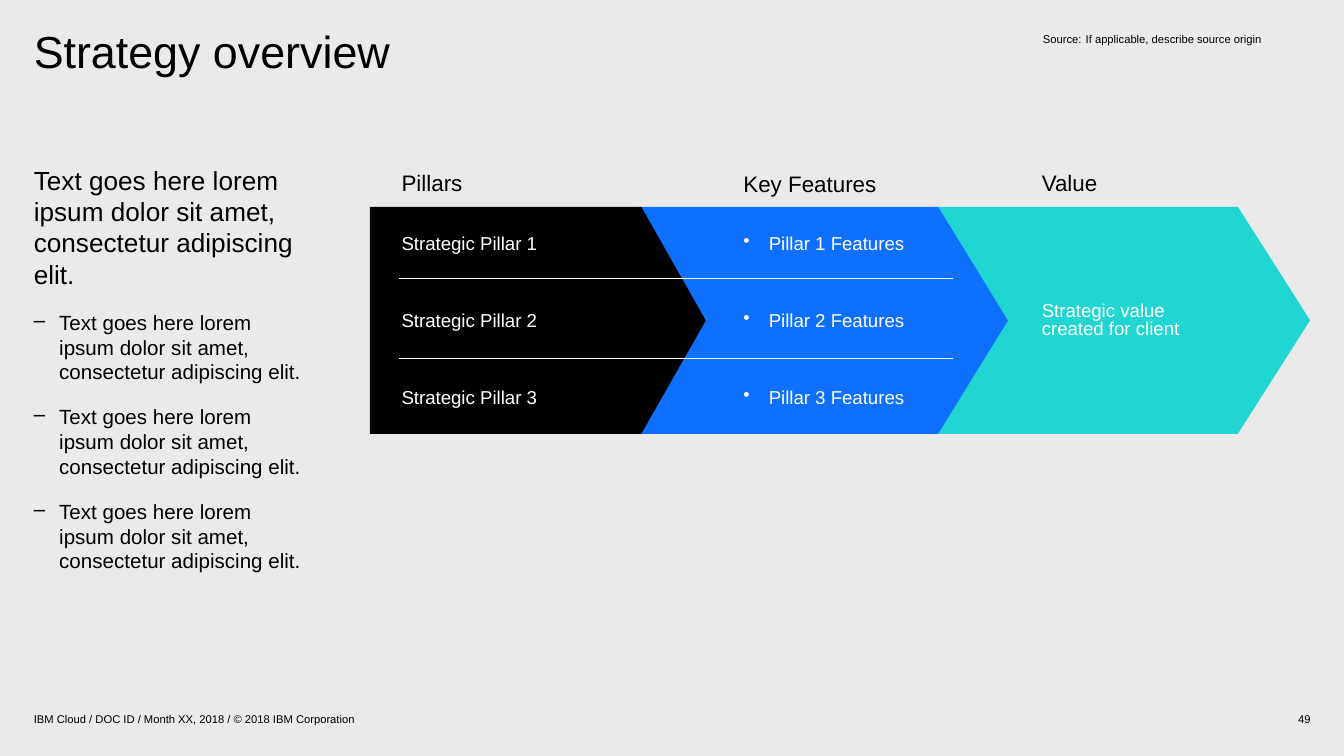
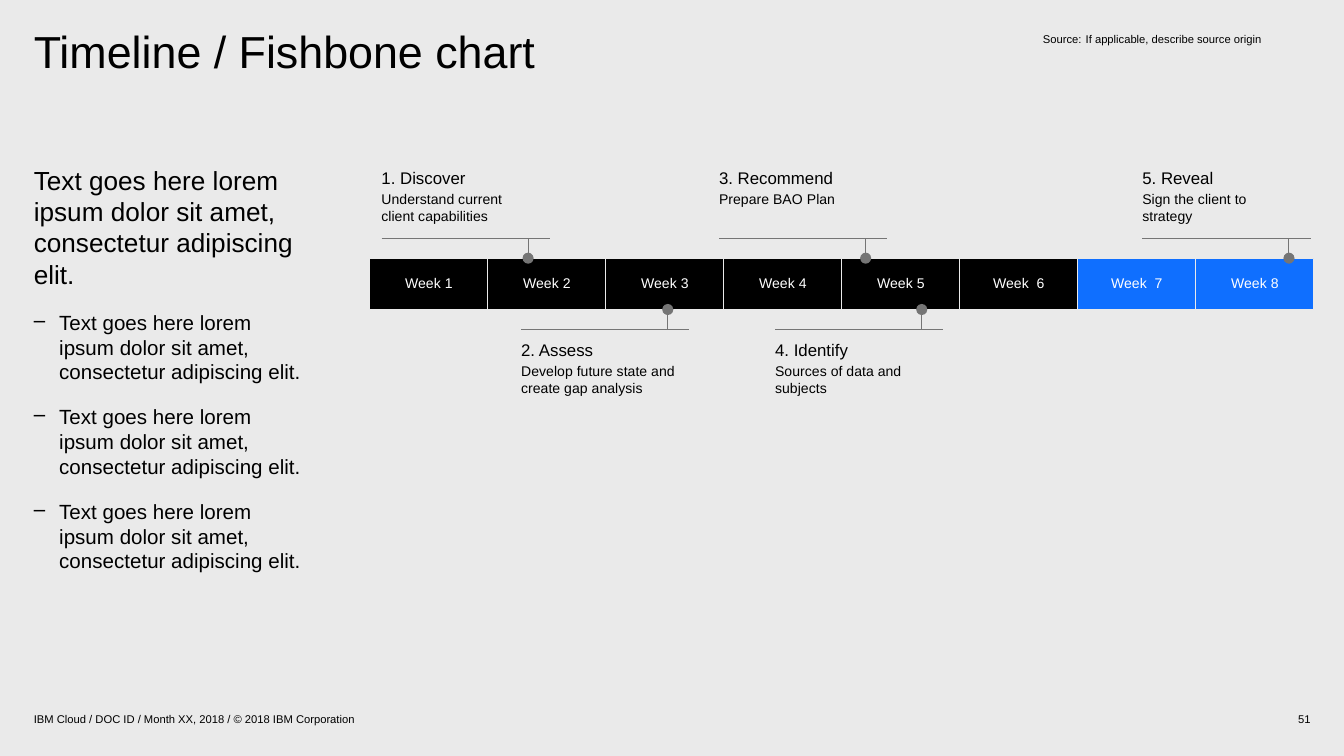
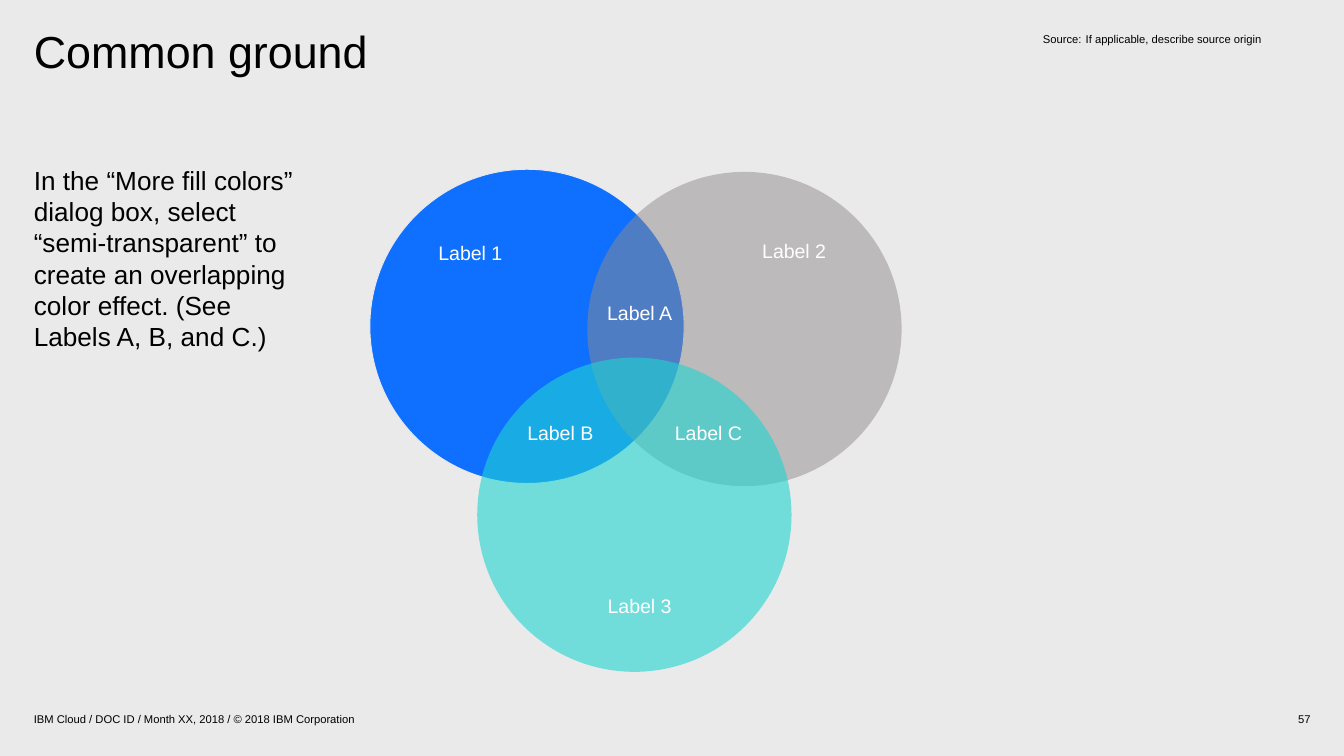
from pptx import Presentation
from pptx.dml.color import RGBColor
from pptx.enum.shapes import MSO_CONNECTOR, MSO_SHAPE
from pptx.enum.text import MSO_ANCHOR, PP_ALIGN
from pptx.oxml.ns import qn
from pptx.util import Cm, Pt
from lxml import etree

BLACK = RGBColor(0x00, 0x00, 0x00)
WHITE = RGBColor(0xFF, 0xFF, 0xFF)
PAPER = RGBColor(0xEA, 0xEA, 0xEA)
BLUE = RGBColor(0x0F, 0x6F, 0xFF)
TEAL = RGBColor(0x20, 0xD5, 0xD2)
GRAY = RGBColor(0x75, 0x75, 0x75)
WARM_GRAY = RGBColor(0x8F, 0x8B, 0x8B)

FONT = "Arial"
TOP, MIDDLE = MSO_ANCHOR.TOP, MSO_ANCHOR.MIDDLE
CENTER, RIGHT = PP_ALIGN.CENTER, PP_ALIGN.RIGHT
RECTANGLE, ELLIPSE, PENTAGON = MSO_SHAPE.RECTANGLE, MSO_SHAPE.OVAL, MSO_SHAPE.PENTAGON
STRAIGHT = MSO_CONNECTOR.STRAIGHT

FOOTER = "IBM Cloud / DOC ID / Month XX, 2018 / © 2018 IBM Corporation"
SOURCE = "Source:\tIf applicable, describe source origin"
LOREM = "Text goes here lorem ipsum dolor sit amet, consectetur adipiscing elit."


class SlideBuilder:
    """Holds the deck, its style and the current page; lengths are in cm."""

    def __init__(self):
        self.deck = Presentation()
        self.deck.slide_width = Cm(25.4)
        self.deck.slide_height = Cm(14.29)
        self.page = None

    def start(self, title, number, intro, bullets=()):
        """Open a page with the shared title, footer, source and side text."""
        self.page = self.deck.slides.add_slide(self.deck.slide_layouts[6])
        background = self.page.background.fill
        background.solid()
        background.fore_color.rgb = PAPER

        frame = self.text_box(0.64, 0.56, 11.43, 2.49)
        self.add_text(frame, title, 24, spacing=0.9)
        frame = self.text_box(19.05, 13.41, 5.72, 0.38, anchor=MIDDLE)
        self.add_text(frame, str(number), 6, align=RIGHT)
        frame = self.text_box(0.64, 13.41, 17.78, 0.38, anchor=MIDDLE)
        self.add_text(frame, FOOTER, 6)
        frame = self.text_box(19.46, 0.51, 5.31, 1.35, insets=(0.25, 0.1, 0.25, 0.1))
        self.add_text(frame, SOURCE, 6, hanging=0.81)

        frame = self.text_box(0.64, 3.1, 5.08, 9.6)
        self.add_text(frame, intro, 14)
        for bullet in bullets:
            self.add_text(frame, bullet, 11, bullet="–", hanging=0.48, before=11)

    def text_box(self, left, top, width, height, anchor=TOP, insets=(0, 0, 0, 0), wrap=True):
        box = self.page.shapes.add_textbox(Cm(left), Cm(top), Cm(width), Cm(height))
        frame = box.text_frame
        frame.word_wrap = wrap
        frame.vertical_anchor = anchor
        frame.margin_left, frame.margin_top, frame.margin_right, frame.margin_bottom = map(Cm, insets)
        return frame

    def add_text(self, frame, text, size, color=BLACK, align=None, spacing=None,
                 before=None, bullet=None, hanging=0):
        """Fill the frame's empty first paragraph, or add one below."""
        para = frame.paragraphs[0]
        if para.runs:
            para = frame.add_paragraph()
        para.text = text
        if hanging:
            properties = para._p.get_or_add_pPr()
            properties.set("marL", str(Cm(hanging)))
            properties.set("indent", str(-Cm(hanging)))
            if bullet:
                etree.SubElement(properties, qn("a:buChar")).set("char", bullet)
        if align is not None:
            para.alignment = align
        if spacing is not None:
            para.line_spacing = spacing
        if before is not None:
            para.space_before = Pt(before)
        para.font.name = FONT
        para.font.size = Pt(size)
        para.font.color.rgb = color

    def paint(self, shape, fill, outline=None, opacity=None):
        shape.shadow.inherit = False
        shape.fill.solid()
        shape.fill.fore_color.rgb = fill
        if opacity is not None:
            color = shape._element.spPr.find(qn("a:solidFill"))[0]
            etree.SubElement(color, qn("a:alpha")).set("val", str(opacity * 1000))
        if outline is None:
            shape.line.fill.background()
        else:
            shape.line.color.rgb = outline
            shape.line.width = Pt(0.5)

    def shape(self, kind, left, top, width, height, fill, outline=None, opacity=None):
        shape = self.page.shapes.add_shape(kind, Cm(left), Cm(top), Cm(width), Cm(height))
        self.paint(shape, fill, outline, opacity)
        return shape

    def polygon(self, points, fill):
        corners = [(Cm(x), Cm(y)) for x, y in points]
        builder = self.page.shapes.build_freeform(*corners[0], scale=1.0)
        builder.add_line_segments(corners[1:], close=True)
        self.paint(builder.convert_to_shape(), fill)

    def line(self, start_x, start_y, end_x, end_y, color, dot=False):
        line = self.page.shapes.add_connector(
            STRAIGHT, Cm(start_x), Cm(start_y), Cm(end_x), Cm(end_y))
        line.line.color.rgb = color
        line.line.width = Pt(0.5)
        properties = line._element.spPr
        if dot:
            outline = properties.find(qn("a:ln"))
            etree.SubElement(outline, qn("a:tailEnd")).set("type", "oval")
        etree.SubElement(properties, qn("a:effectLst"))


def strategy_overview(slides):
    slides.start("Strategy overview", 49, LOREM, [LOREM] * 3)

    # Arrow bands, from right to left so that each tip covers the next band
    top, middle, bottom = 3.91, 6.06, 8.2
    value = slides.shape(PENTAGON, 17.7, top, 7.06, bottom - top, TEAL)
    value.adjustments[0] = 0.318
    for left, shoulder, tip, fill in [(12.07, 17.73, 19.05, BLUE), (6.99, 12.12, 13.34, BLACK)]:
        slides.polygon([(left, top), (shoulder, top), (tip, middle),
                        (shoulder, bottom), (left, bottom)], fill)

    # Column heads
    pillars, features, values = 7.59, 14.05, 19.69
    for left, head_top, head in [(pillars, 3.18, "Pillars"), (features, 3.2, "Key Features"),
                                 (values, 3.18, "Value")]:
        frame = slides.text_box(left, head_top, 4.78, 0.51, anchor=MIDDLE)
        slides.add_text(frame, head, 12, spacing=1.04)

    # Pillar rows and the value statement
    for row in range(3):
        row_top = 4.47 + row * 1.45
        frame = slides.text_box(pillars, row_top, 3.68, 1.19)
        slides.add_text(frame, f"Strategic Pillar {row + 1}", 10, WHITE, spacing=0.8)
        frame = slides.text_box(features, row_top, 3.68, 1.19)
        slides.add_text(frame, f"Pillar {row + 1} Features", 10, WHITE, spacing=0.8,
                        bullet="•", hanging=0.48)
    frame = slides.text_box(values, 5.74, 3.58, 1.19)
    slides.add_text(frame, "Strategic value created for client", 10, WHITE, spacing=0.8)

    # Row rules
    for rule_y in (5.26, 6.78):
        slides.line(7.54, rule_y, 18.01, rule_y, WHITE)


def timeline(slides):
    slides.start("Timeline / Fishbone chart", 51, LOREM, [LOREM] * 3)
    bar_left, bar_top, week_width, bar_height = 6.99, 4.88, 2.23, 0.97

    # Week bar
    weeks = ["Week 1", "Week 2", "Week 3", "Week 4", "Week 5", "Week  6", "Week  7", "Week 8"]
    for index, week in enumerate(weeks):
        cell = slides.shape(RECTANGLE, bar_left + index * week_width, bar_top, week_width,
                            bar_height, BLACK if index < 6 else BLUE, PAPER)
        cell.text_frame.word_wrap = False
        cell.text_frame.vertical_anchor = MIDDLE
        slides.add_text(cell.text_frame, week, 7.5, WHITE, align=CENTER, spacing=0.9)

    # Steps, each with a rule and a stem that ends on the bar
    steps = [
        (6.96, True, "1. Discover", "Understand current client capabilities"),
        (9.6, False, "2. Assess", "Develop future state and create gap analysis"),
        (13.34, True, "3. Recommend", "Prepare BAO Plan"),
        (14.4, False, "4. Identify", "Sources of data and subjects"),
        (21.34, True, "5. Reveal", "Sign the client to strategy"),
    ]
    for left, above, name, detail in steps:
        step_top, rule_y, bar_edge = (2.97, 4.5, bar_top) if above else (6.22, 6.22, bar_top + bar_height)
        frame = slides.text_box(left, step_top, 3.4, 1.52, insets=(0.25, 0.2, 0.2, 0.1))
        slides.add_text(frame, name, 9)
        slides.add_text(frame, detail, 7.5, before=1.5)
        slides.line(left + 0.25, rule_y, left + 3.43, rule_y, GRAY)
        slides.line(left + 3.02, rule_y, left + 3.02, bar_edge, GRAY, dot=True)


def common_ground(slides):
    slides.start("Common ground", 57,
                 "In the “More fill colors” dialog box, select “semi-transparent” to create "
                 "an overlapping color effect. (See Labels A, B, and C.)")

    # Overlapping circles
    diameter = 5.94
    for left, top, fill, outline, opacity in [(6.99, 3.2, BLUE, PAPER, None),
                                              (11.1, 3.25, WARM_GRAY, None, 50),
                                              (9.02, 6.76, TEAL, None, 60)]:
        slides.shape(ELLIPSE, left, top, diameter, diameter, fill, outline, opacity)

    # Labels
    for name, left, top in [("1", 8.05, 4.45), ("2", 14.17, 4.42), ("3", 11.25, 11.13),
                            ("A", 11.25, 5.59), ("B", 9.75, 7.85), ("C", 12.55, 7.85)]:
        frame = slides.text_box(left, top, 1.68, 0.64, insets=(0.2, 0.1, 0.2, 0.1), wrap=False)
        slides.add_text(frame, f"Label {name}", 10.5, WHITE, align=CENTER)


def main():
    slides = SlideBuilder()
    strategy_overview(slides)
    timeline(slides)
    common_ground(slides)
    slides.deck.save("out.pptx")


if __name__ == "__main__":
    main()
